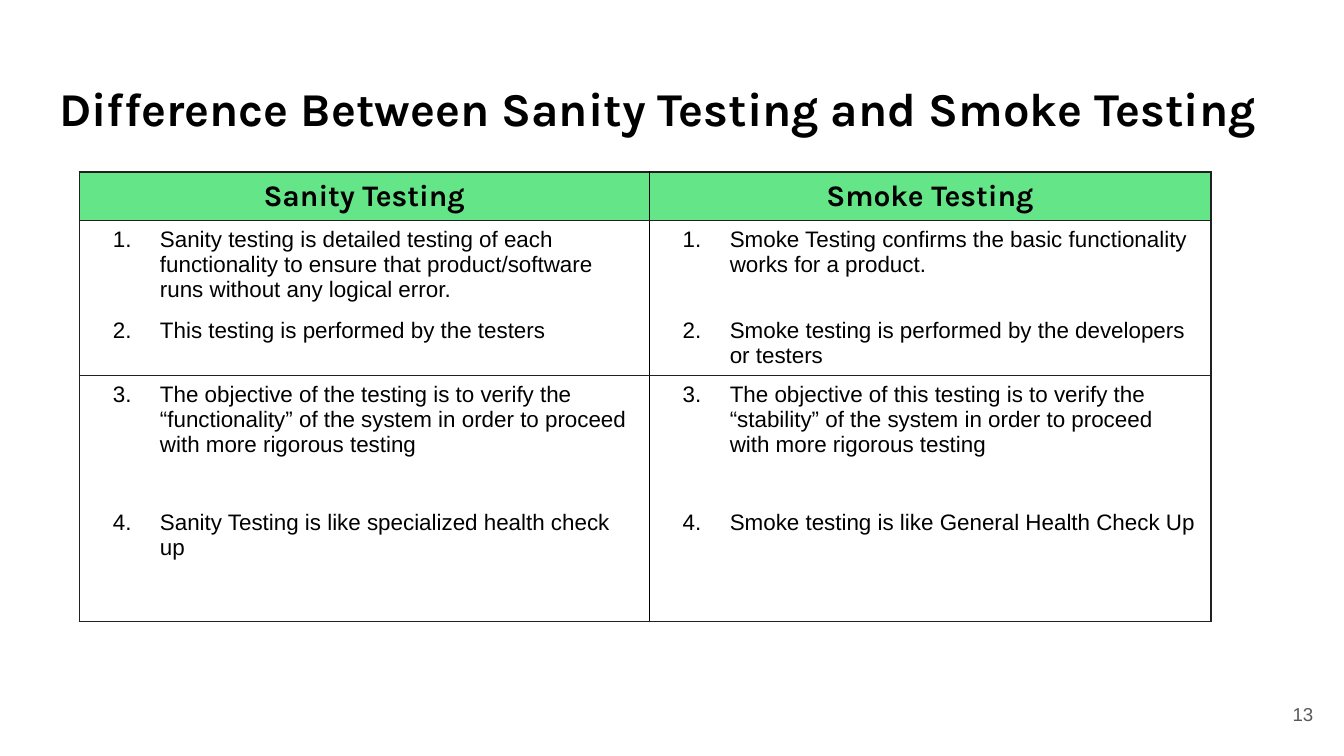
from lxml import etree
from pptx import Presentation
from pptx.dml.color import RGBColor
from pptx.enum.text import MSO_ANCHOR, MSO_AUTO_SIZE, PP_ALIGN
from pptx.oxml.ns import qn
from pptx.util import Inches, Pt

LEFT, CENTER, RIGHT = PP_ALIGN.LEFT, PP_ALIGN.CENTER, PP_ALIGN.RIGHT
TOP, MIDDLE = MSO_ANCHOR.TOP, MSO_ANCHOR.MIDDLE
NO_AUTOFIT = MSO_AUTO_SIZE.NONE

COLORS = {
    "text": "000000",
    "header": "64E688",
    "cell": "FFFFFF",
    "outline": "212121",
    "divider": "000000",
    "number": "595959",
}
HEADING_FONT, BODY_FONT = "Karla", "Arial"

HEADERS = ["Sanity Testing", "Smoke Testing"]
DIFFERENCES = [
    ["Sanity testing is detailed testing of each functionality to ensure that "
     "product/software runs without any logical error.",
     "Smoke Testing confirms the basic functionality works for a product."],
    ["This testing is performed by the testers",
     "Smoke testing is performed by the developers or testers"],
    ["The objective of the testing is to verify the “functionality” of the system "
     "in order to proceed with more rigorous testing",
     "The objective of this testing is to verify the “stability” of the system "
     "in order to proceed with more rigorous testing"],
    ["Sanity Testing is like specialized health check up",
     "Smoke testing is like General Health Check Up"],
]
COLUMN_WIDTHS = [4.24, 4.18]
ROW_HEIGHTS = [0.35, 0.68, 0.47, 0.95, 0.88]
RULED_EDGES = {0, 1, 3, 5}


def write_run(paragraph, text, font_name, size, color, bold=False):
    run = paragraph.add_run()
    run.text = text
    run.font.name = font_name
    run.font.size = Pt(size)
    run.font.bold = bold
    run.font.color.rgb = RGBColor.from_string(COLORS[color])


def format_frame(text_frame, anchor):
    text_frame.word_wrap = True
    text_frame.auto_size = NO_AUTOFIT
    text_frame.vertical_anchor = anchor
    text_frame.margin_left = text_frame.margin_right = Inches(0.1)
    text_frame.margin_top = text_frame.margin_bottom = Inches(0.1)


def add_title(slide, text):
    title = slide.shapes.title
    title.left, title.top = Inches(0.34), Inches(0.49)
    title.width, title.height = Inches(9.32), Inches(0.63)
    format_frame(title.text_frame, TOP)
    paragraph = title.text_frame.paragraphs[0]
    paragraph.alignment = LEFT
    write_run(paragraph, text, HEADING_FONT, 25.2, "text", True)


def add_page_number(slide, text):
    box = slide.shapes.add_textbox(Inches(9.27), Inches(5.1), Inches(0.6), Inches(0.43))
    format_frame(box.text_frame, MIDDLE)
    paragraph = box.text_frame.paragraphs[0]
    paragraph.alignment = RIGHT
    write_run(paragraph, text, BODY_FONT, 10, "number")


def number_paragraph(paragraph, start):
    properties = paragraph._p.get_or_add_pPr()
    properties.set("marL", str(Inches(0.5)))
    properties.set("indent", str(Inches(-0.35)))
    bullet_color = etree.SubElement(properties, qn("a:buClr"))
    etree.SubElement(bullet_color, qn("a:srgbClr"), val=COLORS["text"])
    etree.SubElement(properties, qn("a:buFont"), typeface=BODY_FONT)
    etree.SubElement(properties, qn("a:buAutoNum"), type="arabicPeriod", startAt=str(start))


def set_border(cell, side, color):
    properties = cell._tc.get_or_add_tcPr()
    line = etree.SubElement(properties, qn(f"a:ln{side}"), w=str(Pt(0.75)))
    if color is None:
        etree.SubElement(line, qn("a:noFill"))
    else:
        fill = etree.SubElement(line, qn("a:solidFill"))
        etree.SubElement(fill, qn("a:srgbClr"), val=COLORS[color])


def format_cell(cell, row, column):
    cell.margin_left = cell.margin_right = Inches(0.1)
    cell.margin_top = cell.margin_bottom = Inches(0.05)
    set_border(cell, "L", "outline" if column == 0 else "divider")
    set_border(cell, "R", "divider" if column == 0 else "outline")
    set_border(cell, "T", "outline" if row in RULED_EDGES else None)
    set_border(cell, "B", "outline" if row + 1 in RULED_EDGES else None)
    cell.fill.solid()
    fill_color = COLORS["header" if row == 0 else "cell"]
    cell.fill.fore_color.rgb = RGBColor.from_string(fill_color)


def add_comparison_table(slide):
    rows = [HEADERS] + DIFFERENCES
    frame = slide.shapes.add_table(
        len(rows), len(HEADERS), Inches(0.59), Inches(1.28),
        Inches(sum(COLUMN_WIDTHS)), Inches(sum(ROW_HEIGHTS)))
    table = frame.table
    table.first_row = table.horz_banding = False
    for column, width in zip(table.columns, COLUMN_WIDTHS):
        column.width = Inches(width)
    for row, height in zip(table.rows, ROW_HEIGHTS):
        row.height = Inches(height)
    for row_index, texts in enumerate(rows):
        for column_index, text in enumerate(texts):
            cell = table.cell(row_index, column_index)
            format_cell(cell, row_index, column_index)
            paragraph = cell.text_frame.paragraphs[0]
            if row_index == 0:
                paragraph.alignment = CENTER
                write_run(paragraph, text, HEADING_FONT, 16, "text", True)
            else:
                number_paragraph(paragraph, row_index)
                write_run(paragraph, text, BODY_FONT, 12, "text")


def main():
    presentation = Presentation()
    presentation.slide_width = Inches(10)
    presentation.slide_height = presentation.slide_width * 9 // 16
    slide = presentation.slides.add_slide(presentation.slide_layouts[5])
    add_title(slide, "Difference Between Sanity Testing and Smoke Testing")
    add_page_number(slide, "13")
    add_comparison_table(slide)
    presentation.save("out.pptx")


if __name__ == "__main__":
    main()
